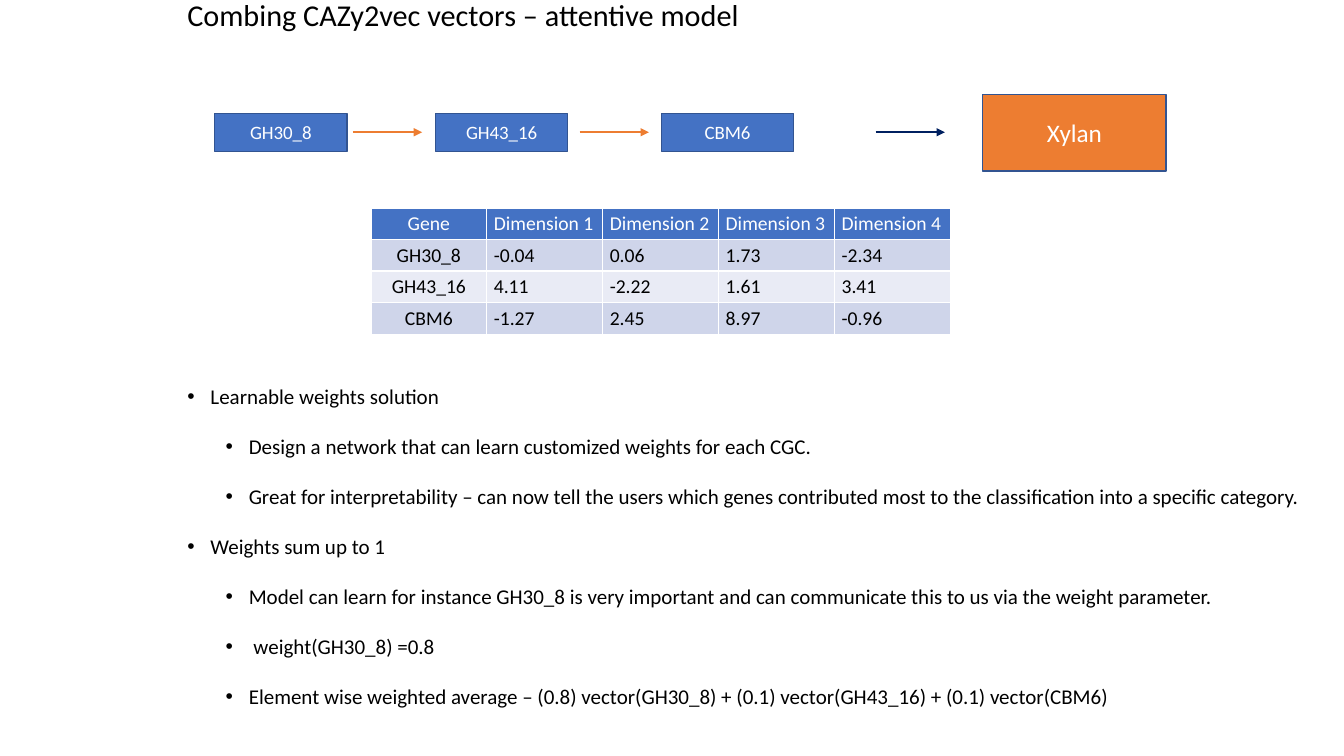
from lxml import etree
from pptx import Presentation, util as u
from pptx.dml.color import RGBColor
from pptx.enum import shapes, text
from pptx.oxml.ns import qn

BLUE = RGBColor(0x44, 0x72, 0xC4)
EDGE = RGBColor(0x32, 0x54, 0x91)
ORANGE = RGBColor(0xED, 0x7D, 0x31)
NAVY = RGBColor(0x00, 0x20, 0x60)
DARK = RGBColor(0xCF, 0xD5, 0xEA)
LIGHT = RGBColor(0xE9, 0xEB, 0xF5)
WHITE = RGBColor(0xFF, 0xFF, 0xFF)
BLACK = RGBColor(0x00, 0x00, 0x00)

CELL = u.Inches(0.125)  # side of one grid square
COLS, ROWS = 106.67, 60

GENES = [
    ("GH30_8", "-0.04", "0.06", "1.73", "-2.34"),
    ("GH43_16", "4.11", "-2.22", "1.61", "3.41"),
    ("CBM6", "-1.27", "2.45", "8.97", "-0.96"),
]
HEAD = ("Gene", *(f"Dimension {n}" for n in range(1, 5)))
POINTS = [
    (0, "Learnable weights solution"),
    (1, "Design a network that can learn customized weights for each CGC."),
    (1, "Great for interpretability – can now tell the users which genes "
        "contributed most to the classification into a specific category."),
    (0, "Weights sum up to 1"),
    (1, "Model can learn for instance GH30_8 is very important and can "
        "communicate this to us via the weight parameter."),
    (1, " weight(GH30_8) =0.8"),
    (1, "Element wise weighted average – (0.8) vector(GH30_8) + "
        "(0.1) vector(GH43_16) + (0.1) vector(CBM6)"),
]


def grid(*steps):
    """Turn grid steps into slide lengths."""
    return [round(step * CELL) for step in steps]


class Page:
    """One slide with its type style; places are given in grid columns and rows."""

    font = "Calibri"

    def __init__(self, deck):
        self.slide = deck.slides.add_slide(deck.slide_layouts[6])
        self.items = self.slide.shapes

    def label(self, para, words, size, color, align=None):
        para.alignment = align
        run = para.add_run()
        run.text = words
        run.font.name = self.font
        run.font.size = u.Pt(size)
        run.font.bold = False
        run.font.color.rgb = color

    def frame(self, x, y, w, h):
        """Add an empty wrapping text box and return its text frame."""
        body = self.items.add_textbox(*grid(x, y, w, h)).text_frame
        body.word_wrap = True
        return body

    def title(self, x, y, w, h, words):
        body = self.frame(x, y, w, h)
        body.margin_top = body.margin_bottom = 0
        para = body.paragraphs[0]
        para.line_spacing = 0.9
        self.label(para, words, 21.6, BLACK)

    def box(self, x, y, w, h, words, fill, size):
        item = self.items.add_shape(shapes.MSO_SHAPE.RECTANGLE, *grid(x, y, w, h))
        item.shadow.inherit = False
        item.fill.solid()
        item.fill.fore_color.rgb = fill
        item.line.color.rgb = EDGE
        item.line.width = u.Pt(1)
        body = item.text_frame
        body.vertical_anchor = text.MSO_ANCHOR.MIDDLE
        self.label(body.paragraphs[0], words, size, WHITE, text.PP_ALIGN.CENTER)

    def arrow(self, x, y, w, color):
        link = self.items.add_connector(
            shapes.MSO_CONNECTOR.STRAIGHT, *grid(x, y, x + w, y))
        link.line.color.rgb = color
        link.line.width = u.Pt(1.5)
        props = link.element.spPr
        etree.SubElement(props.find(qn("a:ln")), qn("a:tailEnd"), type="triangle")
        etree.SubElement(props, qn("a:effectLst"))

    def table(self, x, y, w, h, rows):
        """Add a table whose cells are each w by h."""
        wide = len(rows[0])
        table = self.items.add_table(
            len(rows), wide, *grid(x, y, w * wide, h * len(rows))).table
        for r, row in enumerate(rows):
            fill = BLUE if r == 0 else DARK if r % 2 else LIGHT
            color = BLACK if r else WHITE
            for c, words in enumerate(row):
                cell = table.cell(r, c)
                cell.fill.solid()
                cell.fill.fore_color.rgb = fill
                cell.margin_left = cell.margin_right = u.Inches(0.07)
                cell.margin_top = cell.margin_bottom = u.Inches(0.04)
                align = None if c else text.PP_ALIGN.CENTER
                self.label(cell.text_frame.paragraphs[0], words, 14, color, align)

    def bullets(self, x, y, w, h, points):
        body = self.frame(x, y, w, h)
        for n, (level, words) in enumerate(points):
            para = body.add_paragraph() if n else body.paragraphs[0]
            para.level = level
            para.space_after = u.Pt(17.7)
            props = para._p.get_or_add_pPr()
            props.set("marL", str(u.Inches(0.23 + 0.38 * level)))
            props.set("indent", str(u.Inches(-0.23)))
            etree.SubElement(props, qn("a:buFont"), typeface="Arial")
            etree.SubElement(props, qn("a:buChar"), char="•")
            self.label(para, words, 15, BLACK)


def main():
    deck = Presentation()
    deck.slide_width, deck.slide_height = grid(COLS, ROWS)
    page = Page(deck)
    page.title(14.08, 0, 78.5, 5.7, "Combing CAZy2vec vectors – attentive model")
    for x, row in zip((17.04, 34.56, 52.5), GENES):
        page.box(x, 9, 10.5, 3, row[0], BLUE, 13.5)
    for x, color in ((28, ORANGE), (46, ORANGE), (69.5, NAVY)):
        page.arrow(x, 10.5, 5.5, color)
    page.box(78, 7.5, 14.56, 6.08, "Xylan", ORANGE, 18)
    page.table(29.44, 16.5, 9.2, 2.48, [HEAD, *GENES])
    page.bullets(14.08, 30.08, 90.24, 27.04, POINTS)
    deck.save("out.pptx")


if __name__ == "__main__":
    main()
